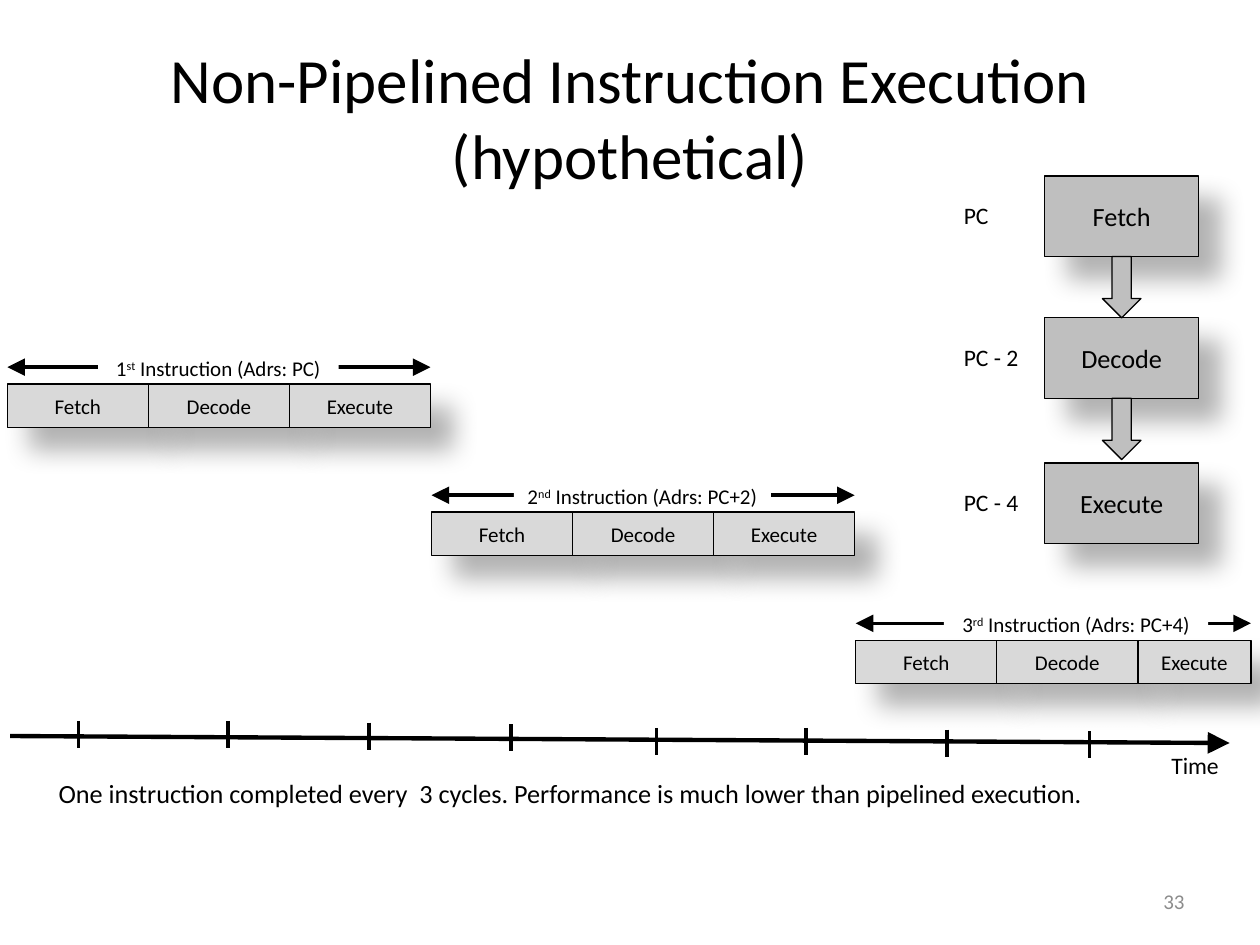
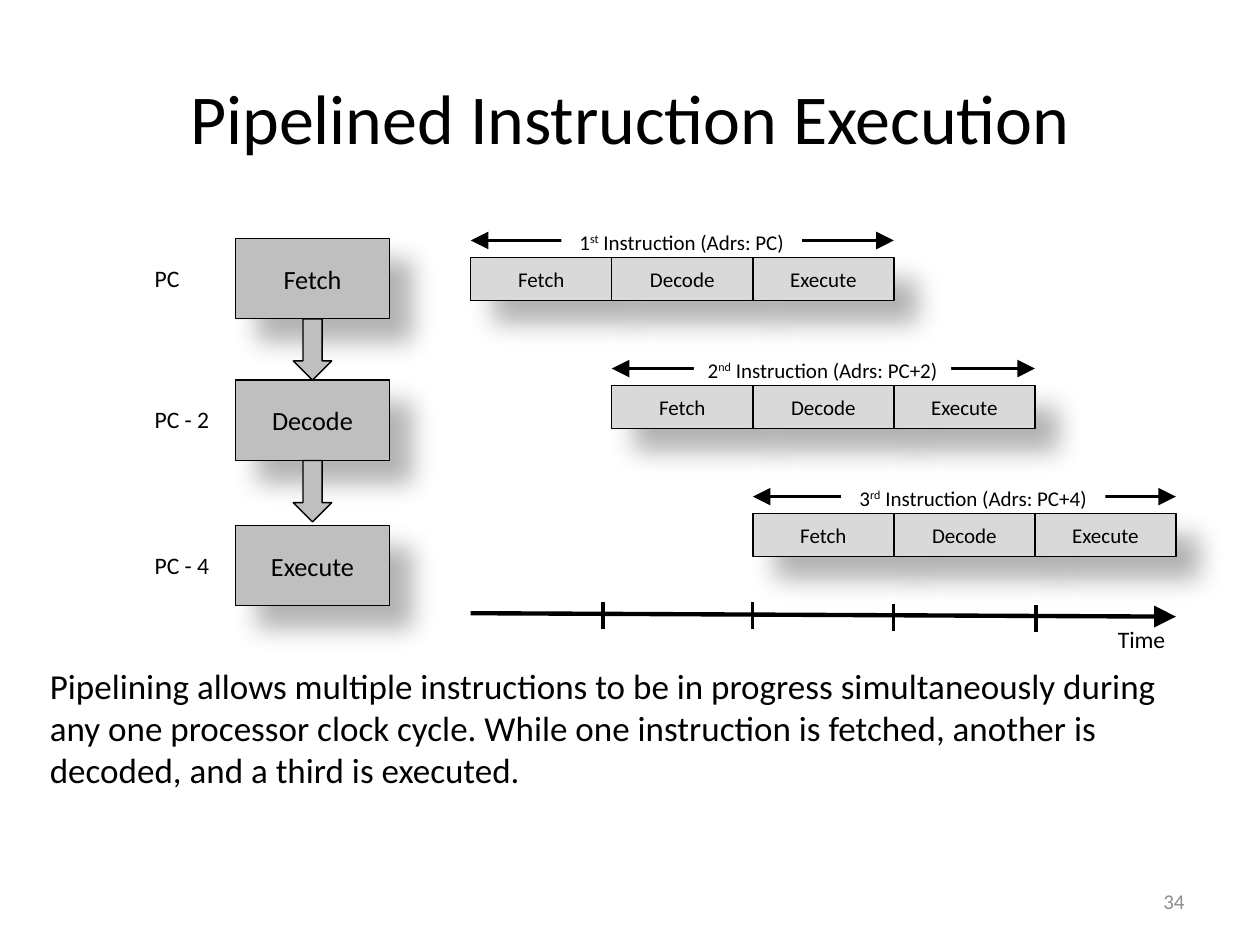
from dataclasses import dataclass

from lxml.etree import SubElement
from pptx import Presentation
from pptx.dml.color import RGBColor as RGB
from pptx.enum.shapes import MSO_CONNECTOR as Connector, MSO_SHAPE as Preset
from pptx.enum.text import MSO_ANCHOR as Anchor, PP_ALIGN as Align
from pptx.oxml.ns import qn
from pptx.util import Pt


@dataclass(frozen=True)
class Theme:
    """Colours, font, type sizes and line widths shared by the slides."""
    font: str = "Calibri"
    ink: RGB = RGB(0, 0, 0)
    paper: RGB = RGB(255, 255, 255)
    stage: RGB = RGB(0xBF, 0xBF, 0xBF)
    cycle: RGB = RGB(0xD9, 0xD9, 0xD9)
    muted: RGB = RGB(0x8C, 0x8C, 0x8C)
    small: float = 12
    label: float = 13.5
    text: float = 15
    outline: float = 0.75
    rule: float = 2
    axis: float = 2.5


THEME = Theme()
STAGES = ("Fetch", "Decode", "Execute")
COUNTERS = ("PC", "PC - 2", "PC - 4")
STAGE_TOPS = (0, 81, 164)
STAGE_W, STAGE_H = 88, 46
CYCLE_W, CYCLE_H = 80.6, 24.8
TRACK_STEP = 73.2
TICKS = ((0, 0), (85.4, 0), (166, 1), (247.3, 1.8))
INSTRUCTIONS = (
    (("1", "st", " Instruction (Adrs: PC)"), 51.8, 137.5),
    (("2", "nd", " Instruction (Adrs: PC+2)"), 47, 147),
    (("3", "rd", " Instruction (Adrs: PC+4)"), 50.4, 151),
)


def format_text(frame, size, color=THEME.ink, align=Align.LEFT):
    """Apply the theme font, a size, a colour and an alignment."""
    for paragraph in frame.paragraphs:
        paragraph.alignment = align
        for run in paragraph.runs:
            run.font.name = THEME.font
            run.font.size = Pt(size)
            run.font.color.rgb = color


def add_text(slide, box, text, size, wrap=False, **style):
    """Add a text box and return its frame."""
    frame = slide.shapes.add_textbox(*map(Pt, box)).text_frame
    frame.word_wrap = wrap
    frame.text = text
    format_text(frame, size, **style)
    return frame


def add_block(slide, preset, box, fill, outlined=True):
    """Add a flat preset shape."""
    block = slide.shapes.add_shape(preset, *map(Pt, box))
    block.fill.solid()
    block.fill.fore_color.rgb = fill
    if outlined:
        block.line.color.rgb = THEME.ink
        block.line.width = Pt(THEME.outline)
    else:
        block.line.fill.background()
    block.shadow.inherit = False
    return block


def add_stage(slide, box, name, fill, size):
    """Add a named box with a soft shadow to the lower right."""
    block = add_block(slide, Preset.RECTANGLE, box, fill)
    effects = block._element.spPr.find(qn("a:effectLst"))
    shadow = SubElement(effects, qn("a:outerShdw"), blurRad=str(Pt(15)),
                        dist=str(Pt(18)), dir="2700000", algn="tl", rotWithShape="0")
    tint = SubElement(shadow, qn("a:srgbClr"), val=str(THEME.ink))
    SubElement(tint, qn("a:alpha"), val="30000")
    frame = block.text_frame
    frame.margin_left = frame.margin_right = Pt(5)
    frame.margin_top = frame.margin_bottom = Pt(3)
    frame.vertical_anchor = Anchor.MIDDLE
    frame.text = name
    format_text(frame, size, align=Align.CENTER)


def add_line(slide, start, end, width, arrows=()):
    """Add a straight line with arrowheads at the named ends."""
    line = slide.shapes.add_connector(Connector.STRAIGHT, *map(Pt, (*start, *end)))
    line.line.color.rgb = THEME.ink
    line.line.width = Pt(width)
    for arrow in arrows:
        SubElement(line.line._get_or_add_ln(), qn(f"a:{arrow}"),
                   type="triangle", w="lg", len="lg")
    SubElement(line._element.spPr, qn("a:effectLst"))


def add_stage_column(slide, left, top):
    """Draw the three pipeline stages with arrows and program counters."""
    for name, counter, drop in zip(STAGES, COUNTERS, STAGE_TOPS):
        y = top + drop
        add_stage(slide, (left, y, STAGE_W, STAGE_H), name, THEME.stage, THEME.text)
        add_text(slide, (left - 53.3, y + 10.8, 48, 24), counter, THEME.label)
    for drop in STAGE_TOPS[:-1]:
        arrow_box = (left + STAGE_W / 2 - 11, top + drop + STAGE_H, 22, 35)
        add_block(slide, Preset.DOWN_ARROW, arrow_box, THEME.stage)


def add_track(slide, left, top, instruction, right):
    """Draw one instruction: its span, its label and its cycles."""
    parts, label_left, label_width = instruction
    add_line(slide, (left, top - 9.6), (right, top - 9.6), THEME.rule,
             ("headEnd", "tailEnd"))
    label_box = (left + label_left, top - 19.6, label_width, 21.6)
    label = add_block(slide, Preset.RECTANGLE, label_box, THEME.paper, outlined=False)
    frame = label.text_frame
    frame.word_wrap = False
    frame.vertical_anchor = Anchor.TOP
    for part in parts:
        frame.paragraphs[0].add_run().text = part
    format_text(frame, THEME.small, align=Align.CENTER)
    frame.paragraphs[0].runs[1].font._element.set("baseline", "30000")
    for index, name in enumerate(STAGES):
        x = left + index * CYCLE_W
        width = min(CYCLE_W, right - x)
        add_stage(slide, (x, top, width, CYCLE_H), name, THEME.cycle, THEME.small)


def add_tracks(slide, left, top, stagger, limit=720):
    """Draw the instructions, each starting later by the stagger."""
    for index, instruction in enumerate(INSTRUCTIONS):
        x = left + index * stagger
        right = min(x + len(STAGES) * CYCLE_W, limit)
        add_track(slide, x, top + index * TRACK_STEP, instruction, right)


def add_timeline(slide, start, end, tick_groups):
    """Draw the time axis with its groups of ticks."""
    add_line(slide, start, end, THEME.axis, ("tailEnd",))
    for left, top in tick_groups:
        for dx, dy in TICKS:
            x, y = left + dx, top + dy
            add_line(slide, (x, y), (x, y + 15.6), THEME.rule)
    add_text(slide, (end[0] - 40.3, end[1] + 1, 52, 24), "Time", THEME.label)


def add_page(deck, title, title_size, number):
    """Add a slide with its title and page number."""
    slide = deck.slides.add_slide(deck.slide_layouts[5])
    heading = slide.shapes.title
    heading.left, heading.top, heading.width, heading.height = map(Pt, (36, 21.6, 648, 90))
    heading.text_frame.text = title
    heading.text_frame.vertical_anchor = Anchor.MIDDLE
    format_text(heading.text_frame, title_size, align=Align.CENTER)
    footer = add_text(slide, (516, 500.4, 168, 28.8), str(number), THEME.small,
                      wrap=True, color=THEME.muted, align=Align.RIGHT)
    footer.vertical_anchor = Anchor.MIDDLE
    return slide


def build_non_pipelined(deck):
    """Build the slide where instructions follow one another."""
    slide = add_page(deck, "Non-Pipelined Instruction Execution (hypothetical)", 36, 33)
    add_tracks(slide, 4.2, 219.4, 242.4, limit=714.8)
    add_timeline(slide, (5.8, 420.6), (702.6, 424.6), ((44.8, 412), (375.2, 416)))
    add_text(slide, (23, 440.6, 672, 92),
             " One instruction completed every  3 cycles. "
             "Performance is much lower than pipelined execution.", THEME.text, wrap=True)
    add_stage_column(slide, 597, 100.6)


def build_pipelined(deck):
    """Build the slide where instructions overlap."""
    slide = add_page(deck, "Pipelined Instruction Execution", 40, 34)
    add_stage_column(slide, 134.6, 136.2)
    add_tracks(slide, 269, 147, CYCLE_W)
    add_timeline(slide, (269, 350.4), (672, 352.4), ((344.6, 344),))
    add_text(slide, (21.4, 376, 672, 92),
             "Pipelining allows multiple instructions to be in progress simultaneously "
             "during any one processor clock cycle. While one instruction is fetched, "
             "another is decoded, and a third is executed.", 20, wrap=True)


def main():
    """Build and save the deck."""
    deck = Presentation()
    deck.slide_width, deck.slide_height = Pt(720), Pt(540)
    build_non_pipelined(deck)
    build_pipelined(deck)
    deck.save("out.pptx")


if __name__ == "__main__":
    main()
